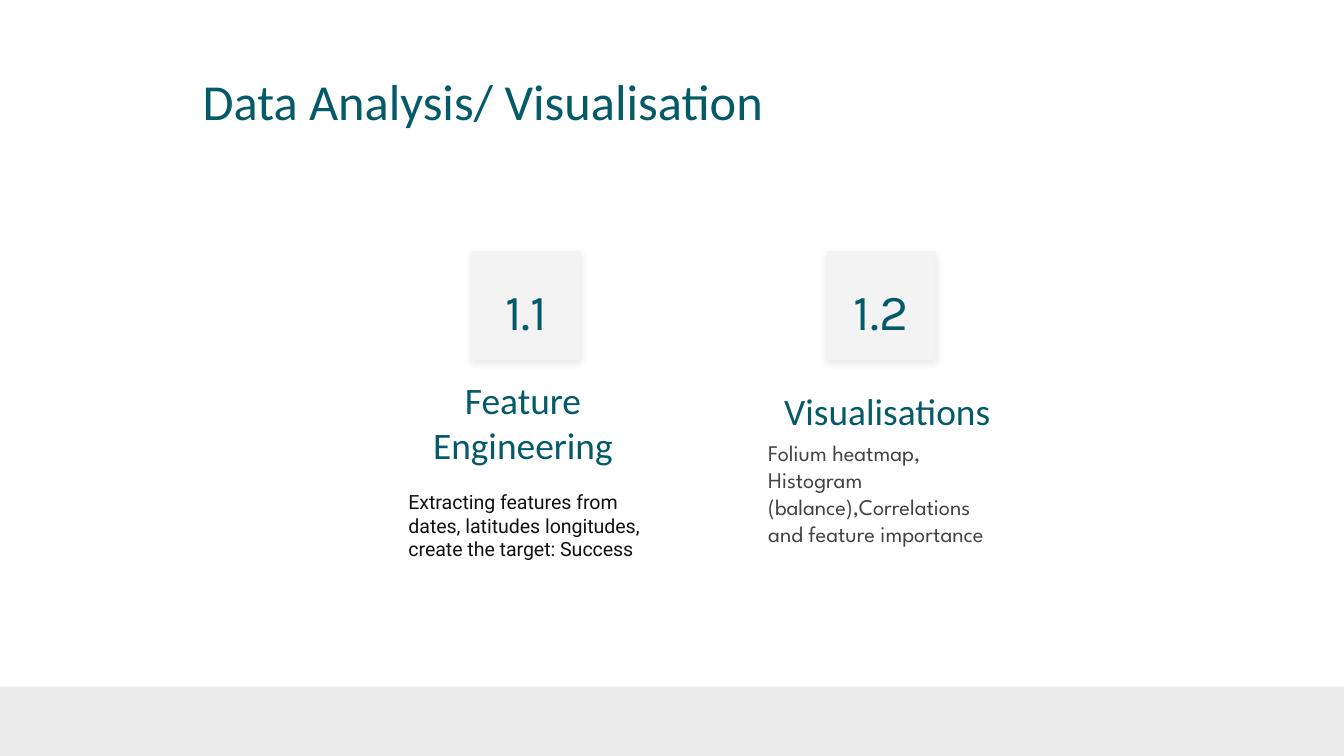
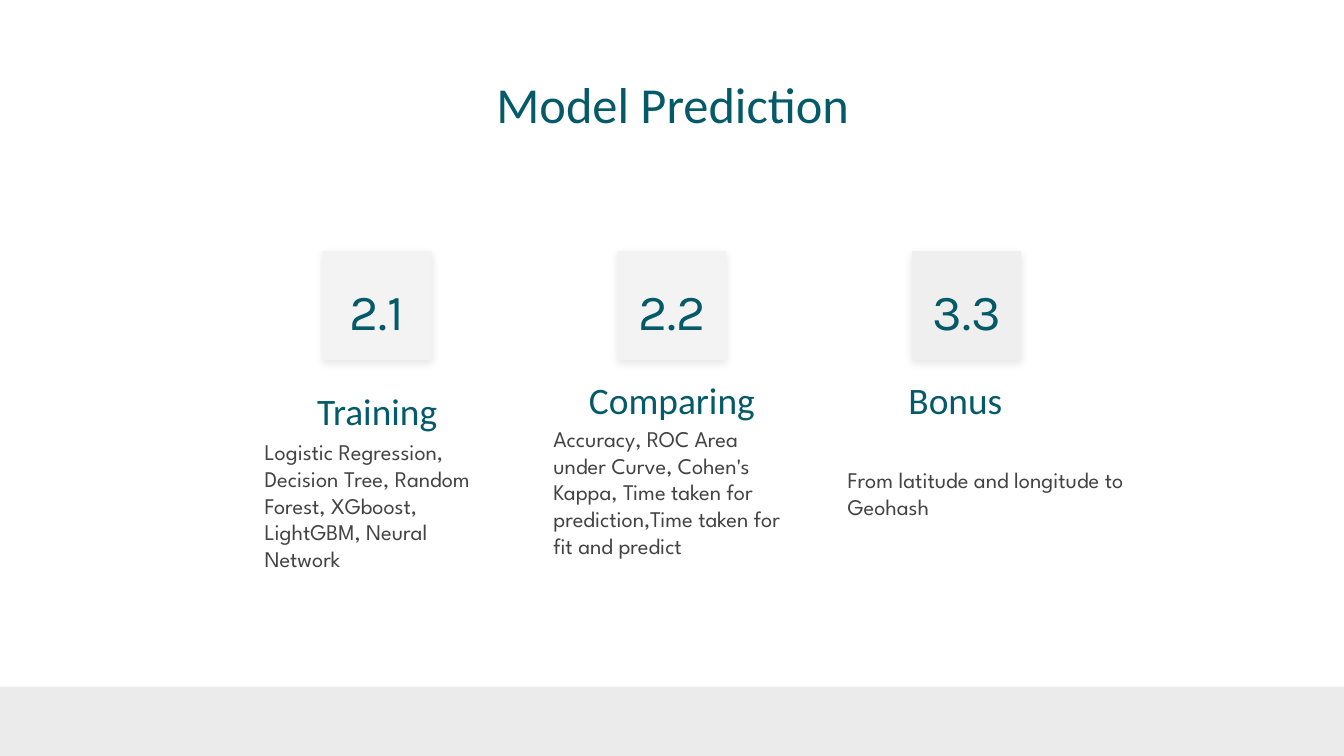
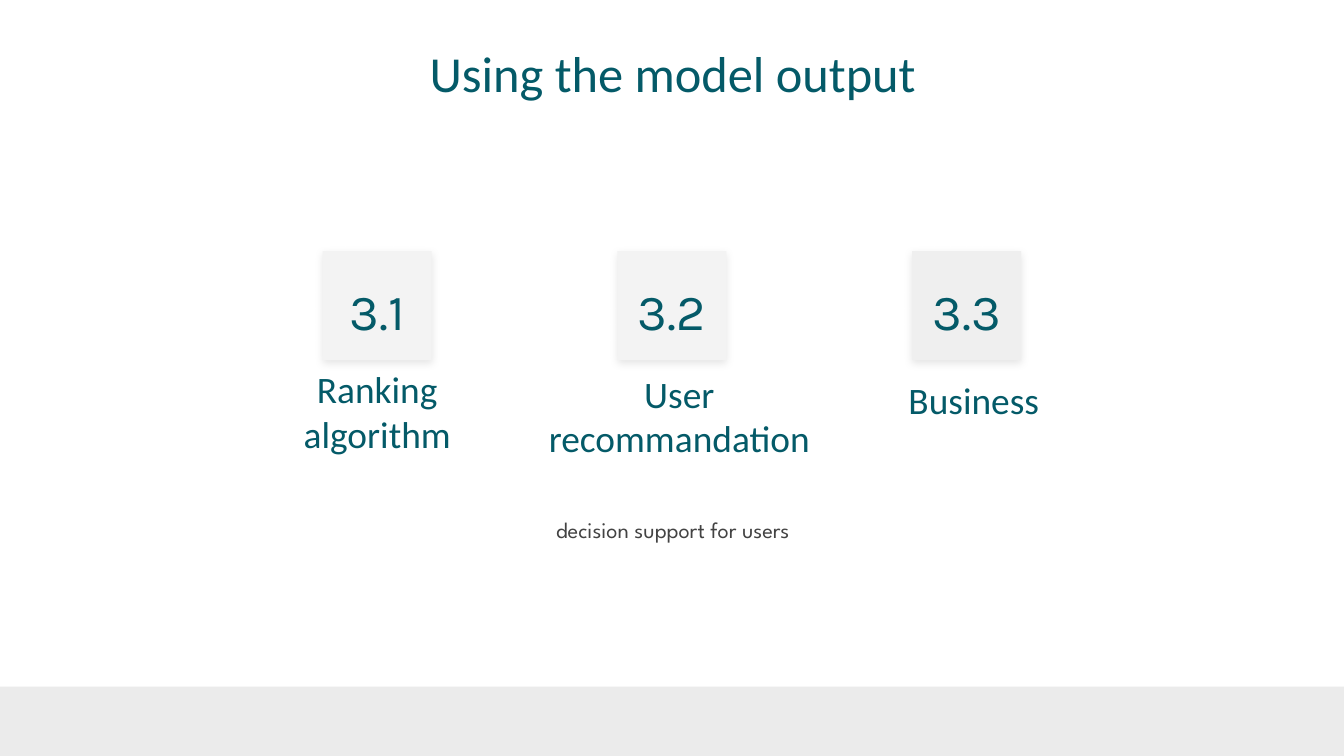
"""Build three slides of numbered topic cards under a shared title style and footer band."""
from lxml import etree
from pptx import Presentation
from pptx.dml.color import RGBColor
from pptx.enum.shapes import MSO_SHAPE
from pptx.enum.text import MSO_ANCHOR, PP_ALIGN
from pptx.oxml.ns import qn
from pptx.util import Cm, Pt

RECT = MSO_SHAPE.RECTANGLE
TOP, MIDDLE = MSO_ANCHOR.TOP, MSO_ANCHOR.MIDDLE
LEFT, CENTER = PP_ALIGN.LEFT, PP_ALIGN.CENTER

COLORS = {"teal": "045A68", "grey": "434343", "ink": "111111", "band": "EBEBEB",
          "tile": "F3F3F3", "tile_dark": "EFEFEF", "shadow": "000000"}
STYLES = {"title": ("Calibri", 27, "teal"), "number": ("Karla", 27, "teal"),
          "heading": ("Calibri", 20, "teal"), "body": ("League Spartan", 12, "grey"),
          "note": ("Roboto", 10.5, "ink")}

SLIDE_W, SLIDE_H, BAND_H = 25.4, 14.29, 1.31
TILE, TILE_TOP = 2.06, 4.75
NUMBER_TOP, NUMBER_H = 5.05, 1.57
CARD_W, HEADING_TOP, TEXT_H = 4.98, 6.88, 1.78

SLIDES = [
    {"title": ("Data Analysis/ Visualisation", (3.58, 0.86, 21.82, 2.06), LEFT),
     "middle": 13.3, "step": 6.71,
     "cards": [
         {"number": "1.1", "heading": "Feature Engineering", "anchor": TOP,
          "heading_at": (7.47, HEADING_TOP, 4.83),
          "body": "Extracting features from dates, latitudes longitudes, create the target: Success",
          "body_at": (7.47, 9.04, CARD_W), "style": "note"},
         {"number": "1.2", "heading": "Visualisations",
          "heading_at": (13.72, HEADING_TOP, 6.1),
          "body": "Folium heatmap, Histogram (balance),Correlations and feature importance",
          "body_at": (14.27, 8.43, CARD_W)}]},
    {"title": ("Model Prediction", (2.01, 1.5, 21.41, 0.89), CENTER),
     "middle": 12.7, "step": 5.57,
     "cards": [
         {"number": "2.1", "heading": "Training",
          "body": "Logistic Regression, Decision Tree, Random Forest, XGboost, LightGBM, Neural Network",
          "body_at": (4.75, 8.66, CARD_W)},
         {"number": "2.2", "heading": "Comparing", "anchor": TOP,
          "body": "Accuracy, ROC Area under Curve, Cohen's Kappa, Time taken for "
                  "prediction,Time taken for fit and predict",
          "body_at": (10.21, 8.41, CARD_W)},
         {"number": "3.3", "heading": "Bonus", "anchor": TOP, "align": LEFT,
          "heading_at": (16.92, HEADING_TOP, 4.11), "tile": "tile_dark",
          "body": "From latitude and longitude to Geohash",
          "body_at": (15.77, 8.43, 5.79)}]},
    {"title": ("Using the model output", (2.01, 0.92, 21.41, 0.89), CENTER),
     "middle": 12.7, "step": 5.57,
     "cards": [
         {"number": "3.1", "heading": "Ranking algorithm"},
         {"number": "3.2", "heading": "User recommandation", "anchor": TOP,
          "heading_at": (9.73, 6.76, 6.22),
          "body": "decision support for users", "body_at": (10.26, 9.12, CARD_W)},
         {"number": "3.3", "heading": "Business", "anchor": TOP, "align": LEFT,
          "heading_at": (16.92, HEADING_TOP, 4.11), "tile": "tile_dark"}]},
]


def add_text(s, text, box, style, align=LEFT, anchor=MIDDLE):
    font, size, color = STYLES[style]
    tf = s.shapes.add_textbox(*map(Cm, box)).text_frame
    tf.word_wrap = True
    tf.vertical_anchor = anchor
    tf.margin_left = tf.margin_right = tf.margin_top = tf.margin_bottom = Cm(0.25)
    p = tf.paragraphs[0]
    p.text = text
    p.alignment = align
    p.font.name, p.font.size = font, Pt(size)
    p.font.color.rgb = RGBColor.from_string(COLORS[color])


def add_rect(s, box, color):
    sp = s.shapes.add_shape(RECT, *map(Cm, box))
    sp.shadow.inherit = False
    sp.fill.solid()
    sp.fill.fore_color.rgb = RGBColor.from_string(COLORS[color])
    sp.line.fill.background()
    return sp


def add_soft_shadow(sp):
    effects = sp._element.spPr.find(qn("a:effectLst"))
    shadow = etree.SubElement(effects, qn("a:outerShdw"), blurRad=str(Pt(4.5)),
                              dist=str(Pt(1.5)), dir="5400000", algn="bl", rotWithShape="0")
    color = etree.SubElement(shadow, qn("a:srgbClr"), val=COLORS["shadow"])
    etree.SubElement(color, qn("a:alpha"), val="9000")


def add_card(s, card, center):
    left = center - CARD_W / 2
    tile = add_rect(s, (center - TILE / 2, TILE_TOP, TILE, TILE), card.get("tile", "tile"))
    add_soft_shadow(tile)
    add_text(s, card["number"], (left, NUMBER_TOP, CARD_W, NUMBER_H), "number", CENTER, TOP)
    heading_at = card.get("heading_at", (left, HEADING_TOP, CARD_W))
    add_text(s, card["heading"], (*heading_at, TEXT_H), "heading",
             card.get("align", CENTER), card.get("anchor", MIDDLE))
    if "body" in card:
        add_text(s, card["body"], (*card["body_at"], TEXT_H), card.get("style", "body"))


def main():
    prs = Presentation()
    prs.slide_width, prs.slide_height = Cm(SLIDE_W), Cm(SLIDE_H)
    for content in SLIDES:
        s = prs.slides.add_slide(prs.slide_layouts[6])
        add_rect(s, (0, SLIDE_H - BAND_H, SLIDE_W, BAND_H), "band")
        title, box, align = content["title"]
        add_text(s, title, box, "title", align)
        cards = content["cards"]
        first = content["middle"] - content["step"] * (len(cards) - 1) / 2
        for i, card in enumerate(cards):
            add_card(s, card, first + i * content["step"])
    prs.save("out.pptx")


if __name__ == "__main__":
    main()
